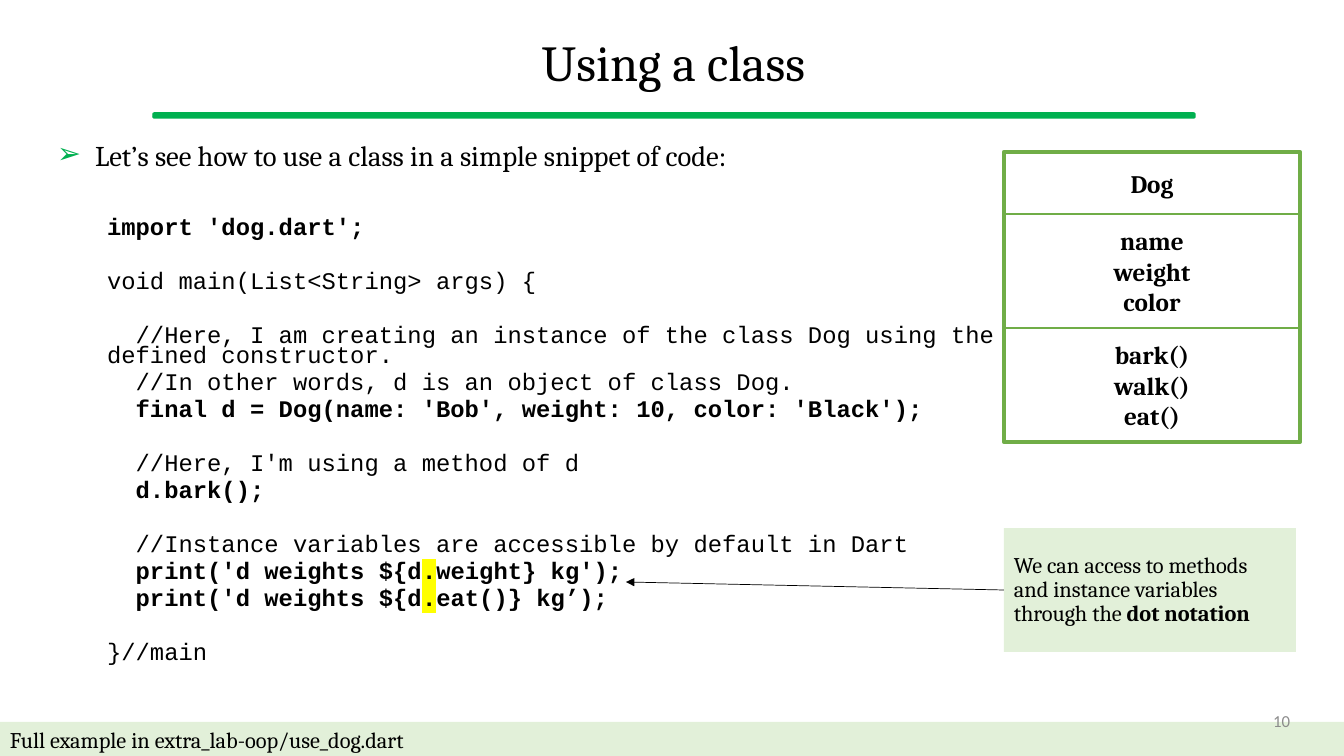
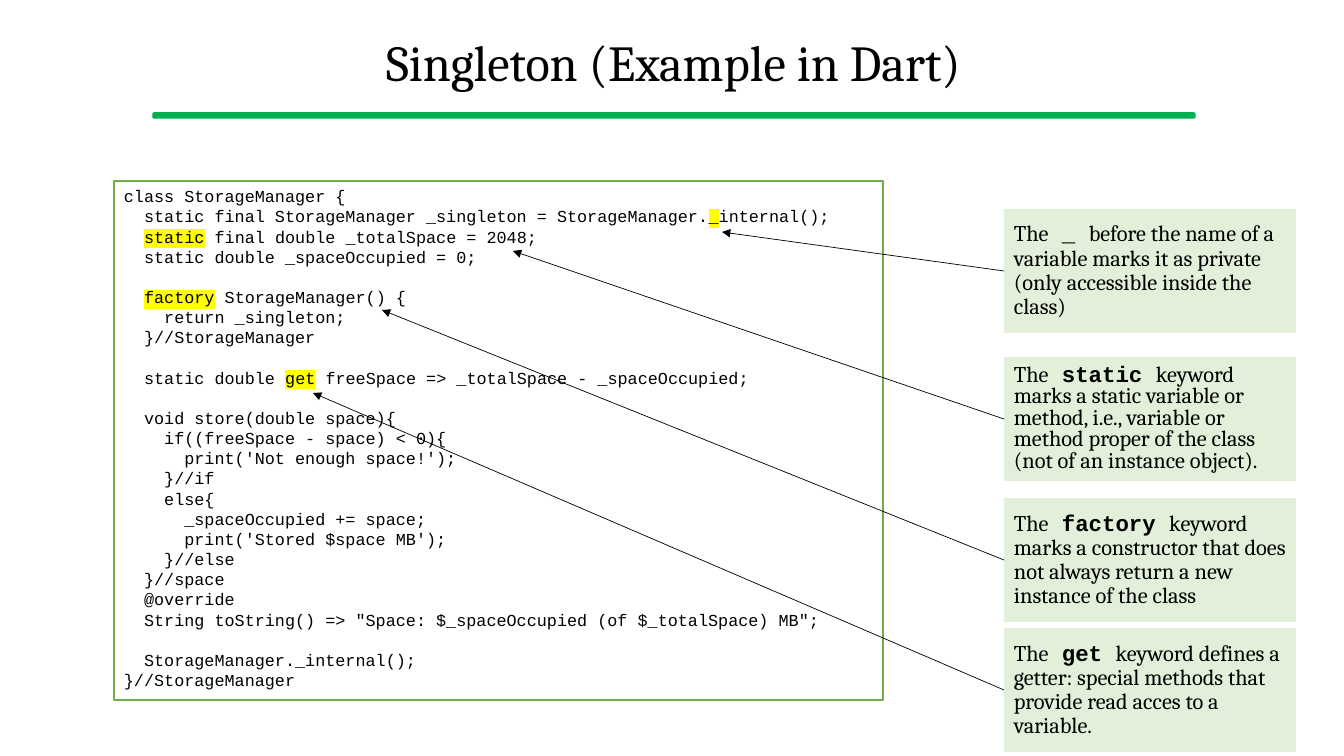
from lxml.etree import SubElement
from pptx import Presentation
from pptx.dml.color import RGBColor
from pptx.enum.shapes import MSO_CONNECTOR, MSO_SHAPE
from pptx.enum.text import MSO_ANCHOR, MSO_AUTO_SIZE, PP_ALIGN
from pptx.oxml.ns import qn
from pptx.util import Emu, Pt

BLACK = RGBColor(0, 0, 0)
WHITE = RGBColor(255, 255, 255)
GRAY = RGBColor(0x8C, 0x8C, 0x8C)
GREEN = RGBColor(0x00, 0xB0, 0x50)
EDGE = RGBColor(0x70, 0xAD, 0x47)
PALE = RGBColor(0xE2, 0xF0, 0xD9)
MARK = {"mark": "FFFF00"}
BOLD = {"bold": True}
BOTH = {**MARK, **BOLD}
KEY = {"name": "Courier New", "bold": True}
SERIF = {"name": "Cambria", "size": Pt(16), "bold": False}
MONO = {"name": "Courier New", "size": Pt(12), "bold": False}
LEFT = {"alignment": PP_ALIGN.LEFT, "line_spacing": 1.0}
MID = {**LEFT, "alignment": PP_ALIGN.CENTER}
TIGHT = {**LEFT, "line_spacing": 0.9}
PX = 914400 / 100.8


def write(box, lines, form, font, color=BLACK, anchor=MSO_ANCHOR.MIDDLE, step=0, gap=0, lead=0):
    frame = box.text_frame
    frame.word_wrap = True
    frame.auto_size = MSO_AUTO_SIZE.NONE
    frame.vertical_anchor = anchor
    for line in lines:
        if not line:
            lead += gap
            continue
        para = frame.add_paragraph() if frame.text else frame.paragraphs[0]
        for key, val in form.items():
            setattr(para, key, val)
        para.space_before = Pt(lead)
        lead = step
        for part in [line] if isinstance(line, str) else line:
            text, extra = (part, {}) if isinstance(part, str) else part
            run = para.add_run()
            run.text = text
            run.font.color.rgb = color
            for key, val in {**font, **extra}.items():
                if key != "mark":
                    setattr(run.font, key, val)
            if "mark" in extra:
                prop = run.font.fill._xPr
                high = SubElement(prop, qn("a:highlight"))
                SubElement(high, qn("a:srgbClr"), val=extra["mark"])
                prop.find(qn("a:solidFill")).addnext(high)


def block(slide, area, fill=None, edge=None, width=1, kind=MSO_SHAPE.RECTANGLE):
    box = slide.shapes.add_shape(kind, *[Emu(round(n * PX)) for n in area])
    box.shadow.inherit = False
    if fill is None:
        box.fill.background()
    else:
        box.fill.solid()
        box.fill.fore_color.rgb = fill
    if edge is None:
        box.line.fill.background()
    else:
        box.line.color.rgb = edge
        box.line.width = Pt(width)
    return box


deck = Presentation()
deck.slide_width, deck.slide_height = Emu(12192000), Emu(6858000)

slides = []
for name, index in [("Using a class", 1), ("Singleton (Example in Dart)", 5)]:
    slide = deck.slides.add_slide(deck.slide_layouts[index])
    slides.append(slide)
    rule = block(slide, (153, 113, 1042, 5), GREEN, GREEN, kind=MSO_SHAPE.ROUNDED_RECTANGLE)
    rule.adjustments[0] = 0.26
    title = slide.shapes.title
    title.left, title.top, title.width, title.height = [Emu(round(n * PX)) for n in (47, 18, 1253, 95)]
    write(title, [name], {**MID, "line_spacing": 0.9}, {**SERIF, "size": Pt(36)})
usage, single = slides

body = usage.placeholders[1]
body.left, body.top, body.width, body.height = [Emu(round(n * PX)) for n in (47, 142, 972, 550)]
intro = "Let’s see how to use a class in a simple snippet of code:"
dense = {**LEFT, "line_spacing": 0.7}
write(body, [intro], dense, {**SERIF, "size": Pt(20.4)}, anchor=MSO_ANCHOR.TOP)
code = [
    [("import 'dog.dart';", BOLD)],
    "",
    "void main(List<String> args) {",
    "",
    "  //Here, I am creating an instance of the class Dog using the defined constructor.",
    "  //In other words, d is an object of class Dog.",
    [("  final d = Dog(name: 'Bob', weight: 10, color: 'Black');", BOLD)],
    "",
    "  //Here, I'm using a method of d",
    [("  d.bark();", BOLD)],
    "",
    "  //Instance variables are accessible by default in Dart",
    [("  print('d weights ${d", BOLD), (".", BOTH), ("weight} kg');", BOLD)],
    [("  print('d weights ${d", BOLD), (".", BOTH), ("eat()} kg’);", BOLD)],
    "",
    "}//main",
]
write(body, code, {**dense, "level": 1}, {**MONO, "size": Pt(17)},
      anchor=MSO_ANCHOR.TOP, step=5, gap=19.3, lead=34.4)
for para in body.text_frame.paragraphs:
    prop = para._p.get_or_add_pPr()
    if para.level:
        prop.set("marL", str(round(50 * PX)))
        prop.set("indent", "0")
        SubElement(prop, qn("a:buNone"))
    else:
        prop.set("marL", str(round(38 * PX)))
        prop.set("indent", str(round(-38 * PX)))
        tint = SubElement(prop, qn("a:buClr"))
        SubElement(tint, qn("a:srgbClr"), val=str(GREEN))
        SubElement(prop, qn("a:buChar"), char="➢")

top = 152
for tall, lines in [
    (62, ["Dog"]),
    (114, ["name", "weight", "color"]),
    (114, ["bark()", "walk()", "eat()"]),
]:
    cell = block(usage, (1004, top, 296, tall), WHITE, EDGE)
    write(cell, lines, MID, {**SERIF, "size": Pt(18), "bold": True})
    top += tall
block(usage, (1004, 152, 296, top - 152), edge=EDGE, width=3)

foot = block(usage, (0, 722, 1344, 39), PALE)
write(foot, ["Full example in extra_lab-oop/use_dog.dart"], TIGHT, SERIF)
page = usage.shapes.add_textbox(*[Emu(round(n * PX)) for n in (949, 701, 351, 40)])
write(page, ["10"], {"alignment": PP_ALIGN.RIGHT}, {"name": "Calibri", "size": Pt(12)}, GRAY)

code = [
    "class StorageManager {",
    ["  static final StorageManager _singleton = StorageManager.", ("_", MARK), "internal();"],
    ["  ", ("static", MARK), " final double _totalSpace = 2048;"],
    "  static double _spaceOccupied = 0;",
    "",
    ["  ", ("factory", MARK), " StorageManager() {"],
    "    return _singleton;",
    "  }//StorageManager",
    "",
    ["  static double ", ("get", MARK), " freeSpace => _totalSpace - _spaceOccupied;"],
    "",
    "  void store(double space){",
    "    if((freeSpace - space) < 0){",
    "      print('Not enough space!');",
    "    }//if",
    "    else{",
    "      _spaceOccupied += space;",
    "      print('Stored $space MB');",
    "    }//else",
    "  }//space",
    "  @override",
    "  String toString() => \"Space: $_spaceOccupied (of $_totalSpace) MB\";",
    "",
    "  StorageManager._internal();",
    "}//StorageManager",
]
panel = block(single, (114, 181, 769, 519), WHITE, EDGE)
write(panel, code, LEFT, MONO, anchor=MSO_ANCHOR.TOP, gap=14.4)

notes = [
    (usage, 528, 0.9, (626, 582),
     ["We can access to methods and instance variables through the ", ("dot notation", BOLD)]),
    (single, 209, 0.9, (722, 232),
     ["The", (" _ ", KEY),
      "before the name of a variable marks it as private (only accessible inside the class)"]),
    (single, 357, 0.8, (513, 251),
     ["The", (" static ", KEY),
      "keyword marks a static variable or method, i.e., variable or method proper of the class "
      "(not of an instance object)."]),
    (single, 498, 0.9, (382, 310),
     ["The", (" factory ", KEY),
      "keyword marks a constructor that does not always return a new instance of the class"]),
    (single, 628, 0.9, (313, 393),
     ["The", (" get ", KEY),
      "keyword defines a getter: special methods that provide read acces to a variable."]),
]
for slide, top, space, tip, line in notes:
    note = block(slide, (1004, top, 292, 124), PALE)
    write(note, [line], {**LEFT, "line_spacing": space}, SERIF)
    ends = [Emu(round(n * PX)) for n in (1004, top + 62, *tip)]
    arrow = slide.shapes.add_connector(MSO_CONNECTOR.STRAIGHT, *ends)
    arrow.begin_connect(note, 1)
    arrow.line.color.rgb = BLACK
    arrow.line.width = Pt(0.5)
    SubElement(arrow.line._get_or_add_ln(), qn("a:tailEnd"), type="triangle")
    SubElement(arrow._element.spPr, qn("a:effectLst"))

deck.save("out.pptx")
